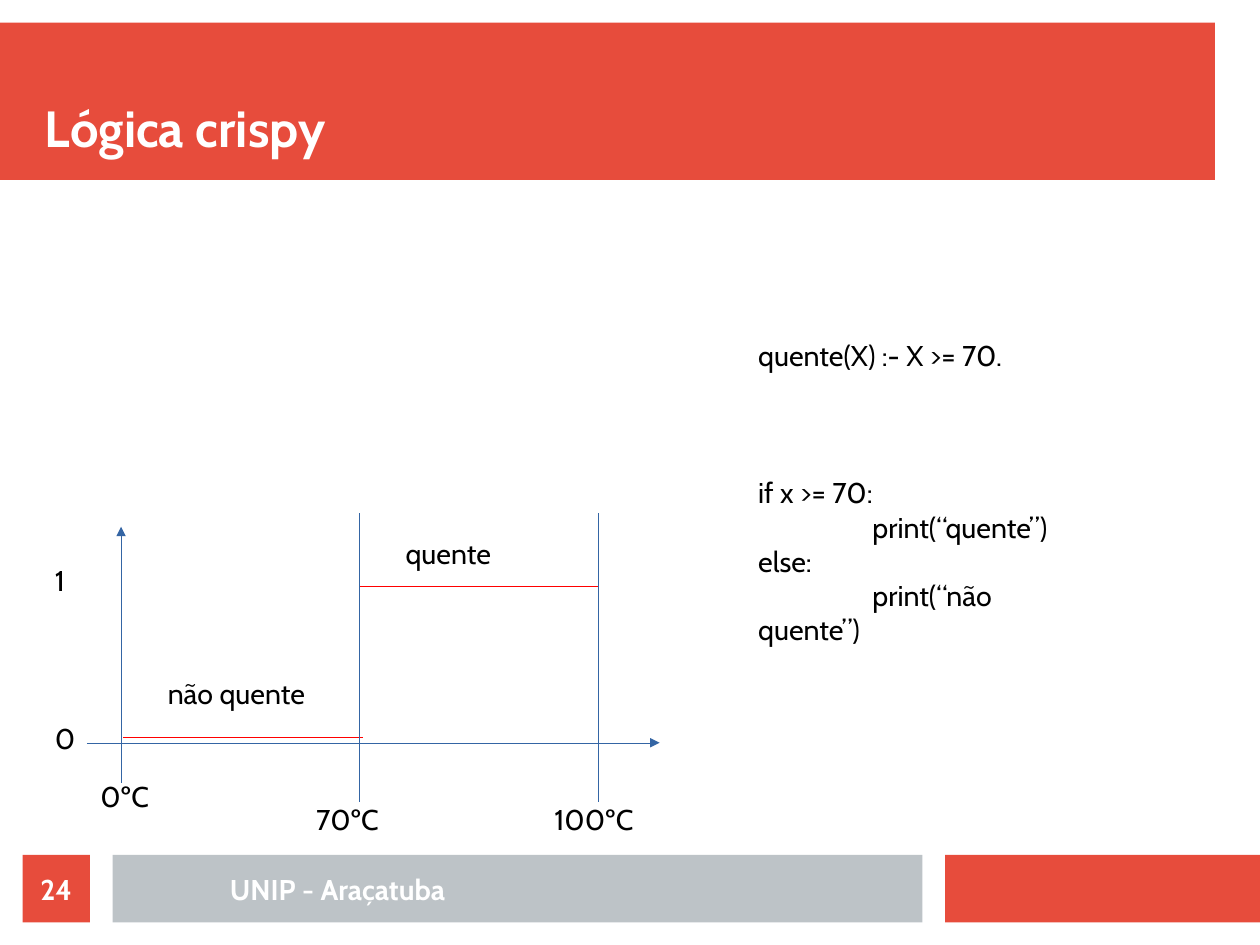
import pptx
import pptx.dml.color
import pptx.enum.shapes
import pptx.enum.text
import pptx.oxml
import pptx.oxml.ns
import pptx.util

Pt = pptx.util.Pt
ANCHOR = pptx.enum.text.MSO_ANCHOR
ALIGN = pptx.enum.text.PP_ALIGN
FIT = pptx.enum.text.MSO_AUTO_SIZE
COLORS = {
    "red": "E74C3C",
    "gray": "BDC3C7",
    "white": "FFFFFF",
    "black": "000000",
    "step": "FF0000",
    "axis": "3465A4",
}
SLIDE_WIDTH, SLIDE_HEIGHT = 793.7, 595.28
LABEL_HEIGHT = 31.7
HAIRLINE = 0.01


def rgb(name):
    return pptx.dml.color.RGBColor.from_string(COLORS[name])


def drawing_element(markup):
    """Parse one element of the drawing namespace, given without its prefix."""
    tag, _, rest = markup.partition(" ")
    return pptx.oxml.parse_xml(
        f'<a:{tag} {pptx.oxml.ns.nsdecls("a")} {rest}')


def style_text(paragraph, color="black", **formats):
    values = {"name": "Cabin", "size": Pt(18), "bold": False, **formats}
    for attribute, value in values.items():
        setattr(paragraph.font, attribute, value)
    paragraph.font.color.rgb = rgb(color)


def clear_insets(frame):
    for side in ("left", "top", "right", "bottom"):
        setattr(frame, f"margin_{side}", 0)


def add_block(slide, box, color):
    block = slide.shapes.add_shape(
        pptx.enum.shapes.MSO_SHAPE.RECTANGLE, *map(Pt, box))
    block.shadow.inherit = False
    block.fill.solid()
    block.fill.fore_color.rgb = rgb(color)
    block.line.fill.background()
    return block


def add_line(slide, start, end, color, arrow=False):
    connector = slide.shapes.add_connector(
        pptx.enum.shapes.MSO_CONNECTOR.STRAIGHT, *map(Pt, (*start, *end)))
    connector.line.color.rgb = rgb(color)
    connector.line.width = Pt(HAIRLINE)
    outline = connector._element.spPr.find(pptx.oxml.ns.qn("a:ln"))
    if arrow:
        outline.append(drawing_element('tailEnd type="triangle"/>'))
    outline.addnext(drawing_element("effectLst />"))


def add_text(slide, box, lines, wrap=False, tab=None):
    frame = slide.shapes.add_textbox(*map(Pt, box)).text_frame
    frame.word_wrap = wrap
    frame.auto_size = FIT.SHAPE_TO_FIT_TEXT
    frame.text = "\n".join(lines)
    for paragraph in frame.paragraphs:
        if tab:
            paragraph._p.get_or_add_pPr().append(drawing_element(
                f'tabLst ><a:tab pos="{Pt(tab)}" algn="l"/></a:tabLst>'))
        style_text(paragraph)
    return frame


def center_caption(frame, text):
    clear_insets(frame)
    frame.word_wrap = True
    frame.vertical_anchor = ANCHOR.MIDDLE
    frame.text = text
    caption = frame.paragraphs[0]
    caption.alignment = ALIGN.CENTER
    style_text(caption, "white", bold=True)


def add_header(slide, box, text):
    left, top, width, height = box
    band = add_block(slide, box, "red")
    title = slide.shapes.title
    band._element.addnext(title._element)
    title.left, title.top = Pt(left + 28.3), Pt(top + 14.4)
    title.width, title.height = Pt(width - 28.3), Pt(height - 28.4)
    frame = title.text_frame
    clear_insets(frame)
    frame.auto_size = FIT.NONE
    frame.vertical_anchor = ANCHOR.BOTTOM
    frame.text = text
    frame.paragraphs[0].alignment = ALIGN.LEFT
    style_text(frame.paragraphs[0], "white", size=Pt(32), bold=True)


def add_step_graph(slide, box):
    """Draw the crisp membership function of 'quente' inside the box."""
    left, top, width, height = box
    bottom, right = top + height, left + width
    step = 150.4
    origin, threshold, limit = (left + 48.8 + step * i for i in range(3))
    axis_y = bottom - 36.7
    zero, one = axis_y - 3.6, axis_y - 98.6

    for start, end in (((origin + 1.5, zero), (threshold + 1.5, zero)),
                       ((threshold, one), (limit, one)),
                       ((threshold, one), (threshold - 0.5, zero + 1.4))):
        add_line(slide, start, end, "step")
    add_line(slide, (origin, axis_y + 25.2), (origin, top + 8.6), "axis", True)
    add_line(slide, (left + 27.2, axis_y), (right, axis_y), "axis", True)
    for x in (threshold, limit):
        add_line(slide, (x, top), (x, bottom), "axis")

    labels = (
        ("não quente", origin + 22.3, zero - 42, 116.6),
        ("quente", threshold + 21.7, one - 35, 77.8),
        ("0ºC", origin - 20.2, bottom - 17.3, 46.8),
        ("70ºC", threshold - 34.6, bottom - 3.1, 58.3),
        ("100ºC", limit - 35, bottom - 3.1, 69.8),
        ("0", left, zero - 14, 25.9),
        ("1", left, one - 18, 25.9),
    )
    for text, x, y, label_width in labels:
        add_text(slide, (x, y, label_width, LABEL_HEIGHT), [text])


def add_code(slide, box):
    frame = add_text(slide, box, [
        "quente(X) :- X >= 70.",
        "if x >= 70:",
        "\tprint(“quente”)",
        "else:",
        "\tprint(“não quente”)",
    ], wrap=True, tab=72)
    frame.paragraphs[1].space_before = Pt(64.7)


def add_footer(slide, box, number, institution):
    left, top, width, height = box
    gap = 14.2
    bar_left = left + height + gap
    bar_width = 510.2
    accent_left = bar_left + bar_width + gap
    add_block(slide, (accent_left, top, left + width - accent_left, height), "red")
    add_block(slide, (bar_left, top, bar_width, height), "gray")
    caption_box = (bar_left + gap, top, bar_width / 2, height)
    caption = slide.shapes.add_textbox(*map(Pt, caption_box))
    center_caption(caption.text_frame, institution)
    badge = add_block(slide, (left, top, height, height), "red")
    center_caption(badge.text_frame, number)


def main():
    deck = pptx.Presentation()
    deck.slide_width, deck.slide_height = Pt(SLIDE_WIDTH), Pt(SLIDE_HEIGHT)
    slide = deck.slides.add_slide(deck.slide_layouts[5])
    add_header(slide, (0, 14.2, 765.4, 99.2), "Lógica crispy")
    add_step_graph(slide, (27.5, 323.2, 388, 181.4))
    add_code(slide, (470.5, 209.5, 226.8, 203))
    add_footer(slide, (14.2, 538.5, SLIDE_WIDTH - 14.2, 42.5),
               "24", "UNIP - Araçatuba")
    deck.save("out.pptx")


if __name__ == "__main__":
    main()
